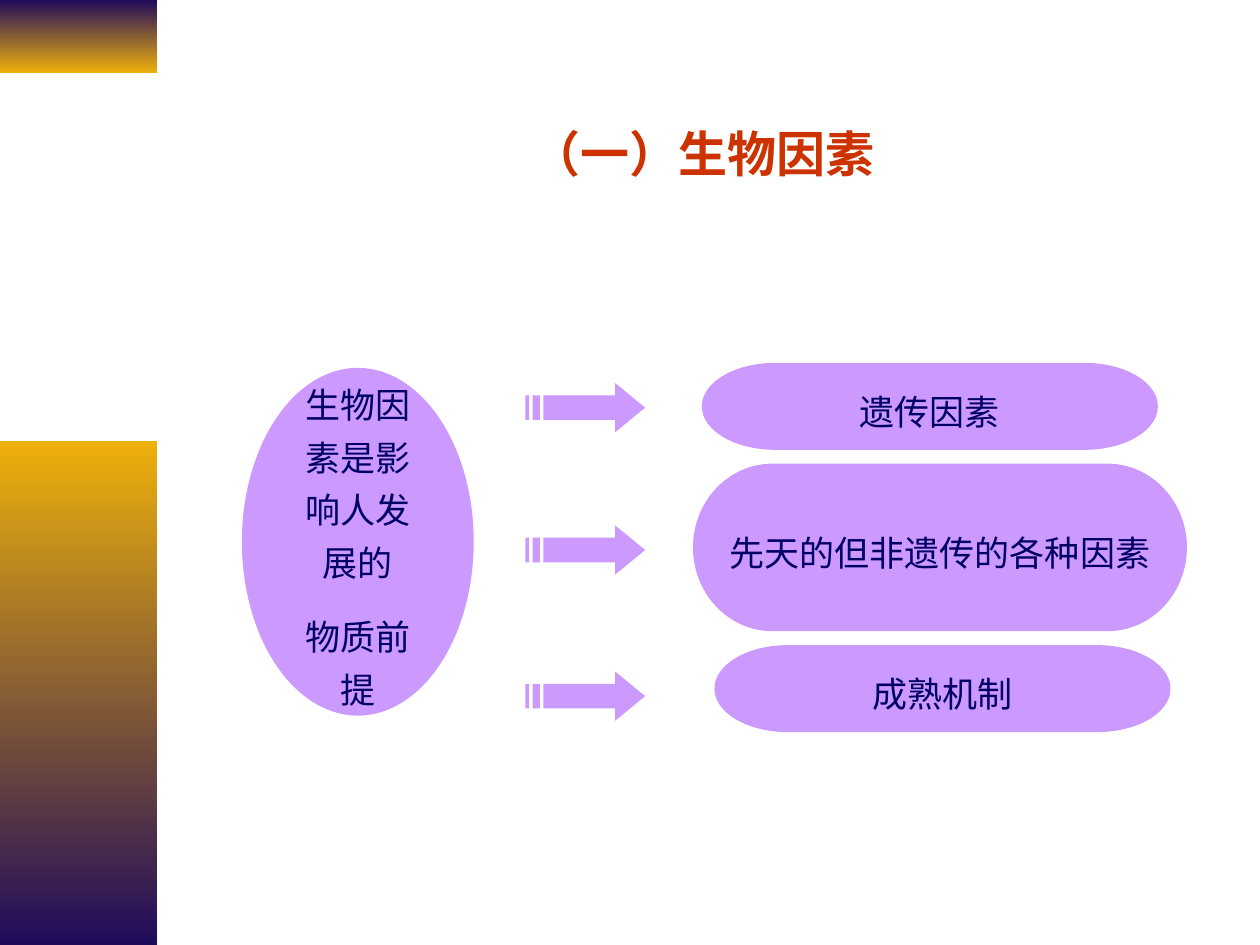
from pptx import Presentation
from pptx.dml.color import RGBColor
from pptx.enum.shapes import MSO_SHAPE
from pptx.enum.text import MSO_ANCHOR, PP_ALIGN
from pptx.util import Inches, Pt

NAVY = RGBColor(0x20, 0x0B, 0x5B)
GOLD = RGBColor(0xEE, 0xB0, 0x0B)
RED = RGBColor(0xCC, 0x33, 0x00)
LILAC = RGBColor(0xCC, 0x99, 0xFF)
INK = RGBColor(0x00, 0x00, 0x66)

TITLE = "（一）生物因素"
CAUSE = ["生物因素是影响人发展的", "物质前提"]
PILLS = [
    ("遗传因素", (5.57, 2.88, 3.62, 0.69)),
    ("先天的但非遗传的各种因素", (5.5, 3.68, 3.92, 1.33)),
    ("成熟机制", (5.67, 5.12, 3.62, 0.69)),
]
BANDS = [((0, 0, 1.25, 0.58), (NAVY, GOLD)), ((0, 3.5, 1.25, 4), (GOLD, NAVY))]
TOPS = [3.04, 4.17, 5.33]
LEFT, WIDE, HIGH = 4.17, 0.95, 0.39
HEAD = [(0.75, 0), (0.75, 0.25), (0.15, 0.25), (0.15, 0.75),
        (0.75, 0.75), (0.75, 1), (1, 0.5)]
BARS = [(0.06, 0.12), (0, 0.03)]


def write(shape, lines, size=20, font="Noto Sans Mono", color=INK,
          bold=False, wrap=True, pitch=1.25, gap=12.5):
    frame = shape.text_frame
    frame.word_wrap = wrap
    frame.vertical_anchor = MSO_ANCHOR.MIDDLE
    frame.text = "\n".join(lines)
    for i, para in enumerate(frame.paragraphs):
        para.alignment = PP_ALIGN.CENTER
        para.line_spacing = pitch
        para.space_before = Pt(gap if i else 0)
        for run in para.runs:
            run.font.size = Pt(size)
            run.font.name = font
            run.font.bold = bold
            run.font.color.rgb = color


def plain(shape):
    shape.shadow.inherit = False
    shape.line.fill.background()
    shape.fill.solid()
    shape.fill.fore_color.rgb = LILAC
    return shape


def add(kind, box):
    return plain(slide.shapes.add_shape(kind, *map(Inches, box)))


def arrow(top):
    parts = [HEAD] + [[(a, 0.25), (a, 0.75), (b, 0.75), (b, 0.25)] for a, b in BARS]
    paths = [[(Inches(LEFT + x * WIDE), Inches(top + y * HIGH)) for x, y in part]
             for part in parts]
    pen = slide.shapes.build_freeform(*paths[0][0])
    for i, path in enumerate(paths):
        if i:
            pen.move_to(*path[0])
        pen.add_line_segments(path[1:], close=True)
    plain(pen.convert_to_shape())


deck = Presentation()
deck.slide_width, deck.slide_height = Inches(10), Inches(7.5)
slide = deck.slides.add_slide(deck.slide_layouts[5])

for box, tones in BANDS:
    band = add(MSO_SHAPE.RECTANGLE, box)
    band.fill.gradient()
    band.fill.gradient_angle = 270
    for stop, tone in zip(band.fill.gradient_stops, tones):
        stop.color.rgb = tone

title = slide.shapes.title
title.left, title.top, title.width, title.height = map(Inches, (1.33, 0.77, 8.5, 0.88))
write(title, [TITLE], size=28, font="Times New Roman", color=RED, bold=True, pitch=1)

write(add(MSO_SHAPE.OVAL, (1.92, 2.92, 1.84, 2.76)), CAUSE)
for words, box in PILLS:
    write(add(MSO_SHAPE.FLOWCHART_TERMINATOR, box), [words], wrap=False)
for top in TOPS:
    arrow(top)

deck.save("out.pptx")
